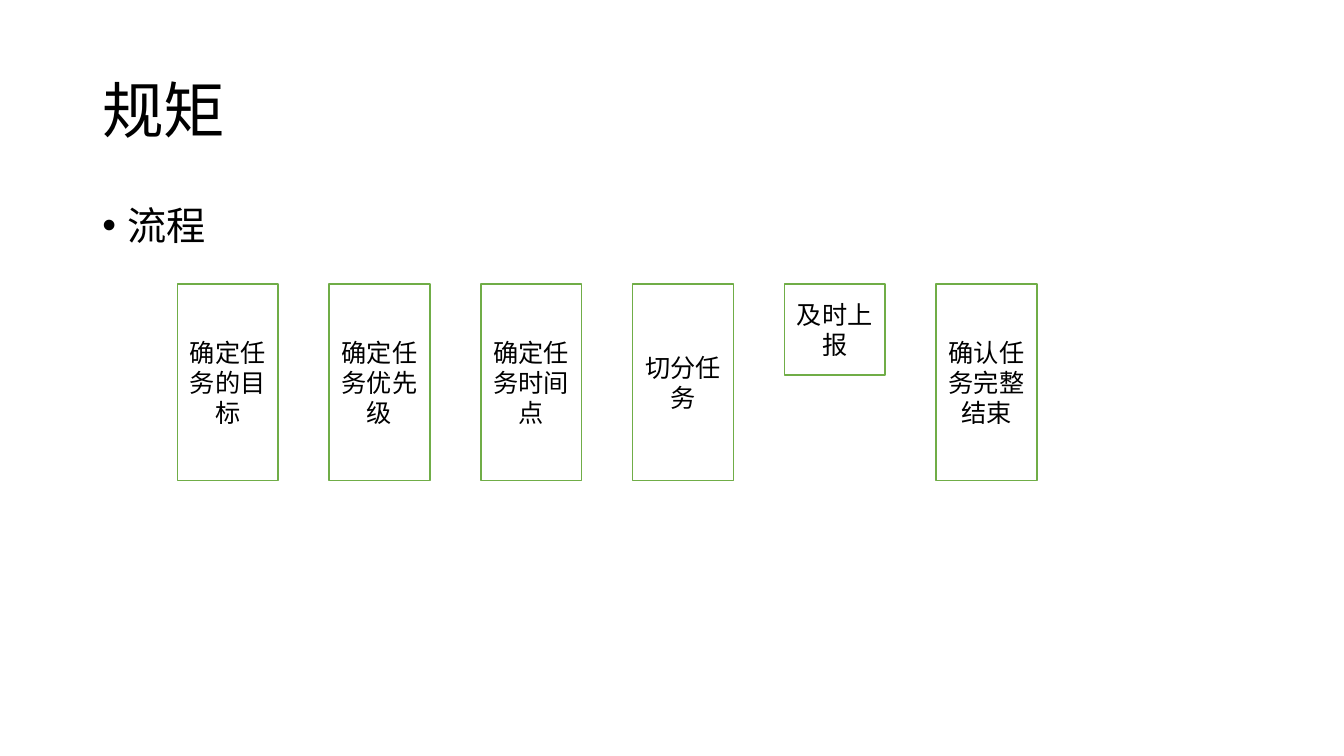
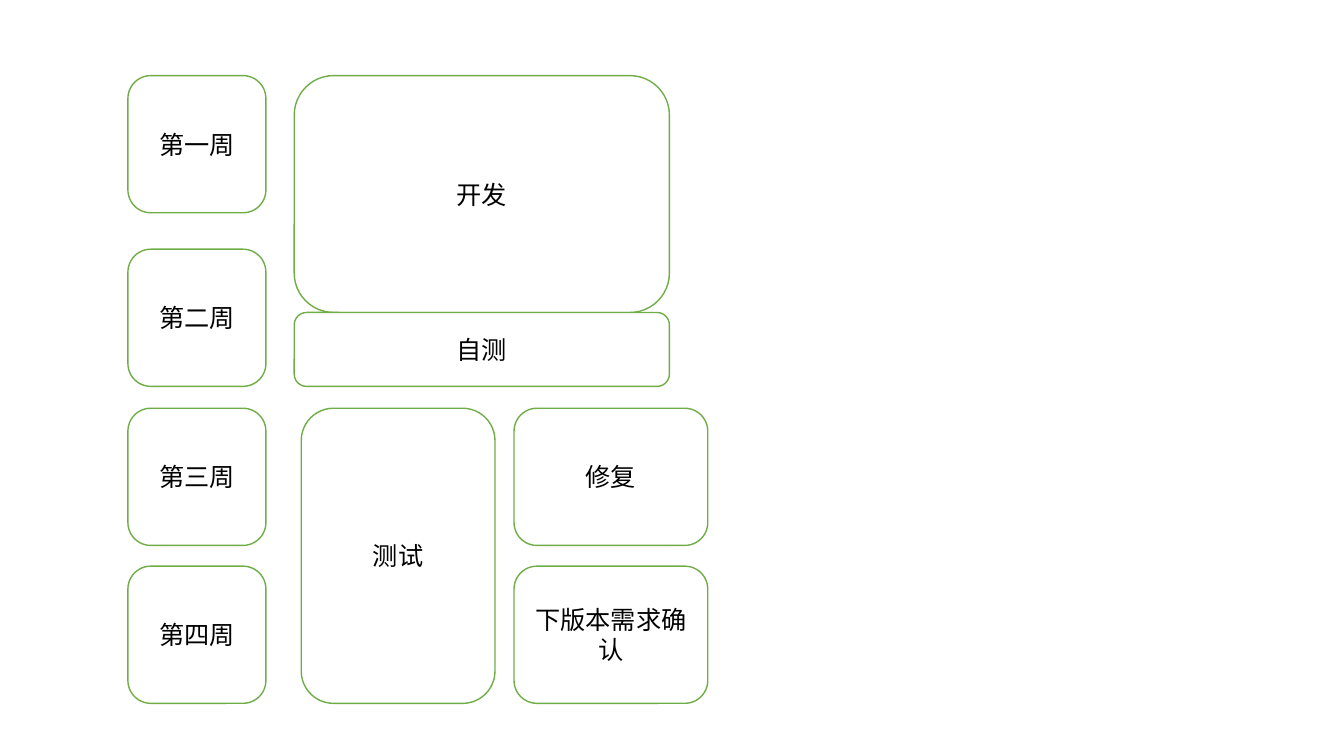
"""Build two slides: the task rules as a process, and a four-week release cycle."""
from lxml import etree
from pptx import Presentation
from pptx import util as u
from pptx.dml.color import RGBColor
from pptx.enum import shapes, text
from pptx.oxml import ns

COLOURS = {"paper": "FFFFFF", "ink": "000000", "green": "70AD47"}
FORMATS = {
    "title": {"line_spacing": 0.9},
    "bullet": {"line_spacing": 0.9, "space_before": u.Pt(10)},
    "box": {"alignment": text.PP_ALIGN.CENTER},
}
SIZES = {"title": 44, "bullet": 28, "box": 18}
MIDDLE, TOP = text.MSO_ANCHOR.MIDDLE, text.MSO_ANCHOR.TOP
RECT = shapes.MSO_SHAPE.RECTANGLE
ROUNDED = shapes.MSO_SHAPE.ROUNDED_RECTANGLE


def colour(name):
    return RGBColor.from_string(COLOURS[name])


class Pen:
    """Holds the style and the current page."""

    def __init__(self, deck):
        self.deck = deck
        self.page = None

    def new_page(self):
        self.page = self.deck.slides.add_slide(self.deck.slide_layouts[6])
        fill = self.page.background.fill
        fill.solid()
        fill.fore_color.rgb = colour("paper")

    def set_text(self, shape, words, style, anchor):
        frame = shape.text_frame
        frame.word_wrap = True
        frame.vertical_anchor = anchor
        para = frame.paragraphs[0]
        for name, value in FORMATS[style].items():
            setattr(para, name, value)
        span = para.add_run()
        span.text = words
        font = {"name": "Calibri", "size": u.Pt(SIZES[style])}
        for name, value in font.items():
            setattr(span.font, name, value)
        span.font.color.rgb = colour("ink")
        return para

    def label(self, place, words, style, anchor):
        box = self.page.shapes.add_textbox(*map(u.Pt, place))
        return self.set_text(box, words, style, anchor)

    def title(self, words):
        self.label((66, 28.8, 828, 104.4), words, "title", MIDDLE)

    def bullet(self, words):
        para = self.label((66, 144, 828, 342.7), words, "bullet", TOP)
        props = para._p.get_or_add_pPr()
        props.set("marL", str(u.Pt(18)))
        props.set("indent", str(-u.Pt(18)))
        etree.SubElement(props, ns.qn("a:buFont"), typeface="Arial")
        etree.SubElement(props, ns.qn("a:buChar"), char="•")

    def box(self, kind, place, words):
        box = self.page.shapes.add_shape(kind, *map(u.Pt, place))
        box.shadow.inherit = False
        box.fill.solid()
        box.fill.fore_color.rgb = colour("paper")
        box.line.color.rgb = colour("green")
        box.line.width = u.Pt(1)
        self.set_text(box, words, "box", MIDDLE)


deck = Presentation()
deck.slide_width, deck.slide_height = u.Pt(960), u.Pt(540)
pen = Pen(deck)

pen.new_page()
pen.title("规矩")
pen.bullet("流程")
TALL, SHORT = 140.4, 64.8
steps = [
    ("确定任务的目标", TALL),
    ("确定任务优先级", TALL),
    ("确定任务时间点", TALL),
    ("切分任务", TALL),
    ("及时上报", SHORT),
    ("确认任务完整结束", TALL),
]
for index, (words, height) in enumerate(steps):
    pen.box(RECT, (126.7 + 108.4 * index, 203, 72, height), words)

pen.new_page()
WEEK = 98
weeks = {"第一周": 54, "第二周": 178, "第三周": 291.6, "第四周": 404.4}
for words, top in weeks.items():
    pen.box(ROUNDED, (91.4, top, 98.6, WEEK), words)

third, fourth = weeks["第三周"], weeks["第四周"]
tasks = [
    ("开发", (210.2, 54, 268, 169.2)),
    ("自测", (210.2, 223.2, 268, 52.8)),
    ("测试", (215.2, third, 138.4, fourth + WEEK - third)),
    ("修复", (367.2, third, 138.4, WEEK)),
    ("下版本需求确认", (367.2, fourth, 138.4, WEEK)),
]
for words, place in tasks:
    pen.box(ROUNDED, place, words)

deck.save("out.pptx")
